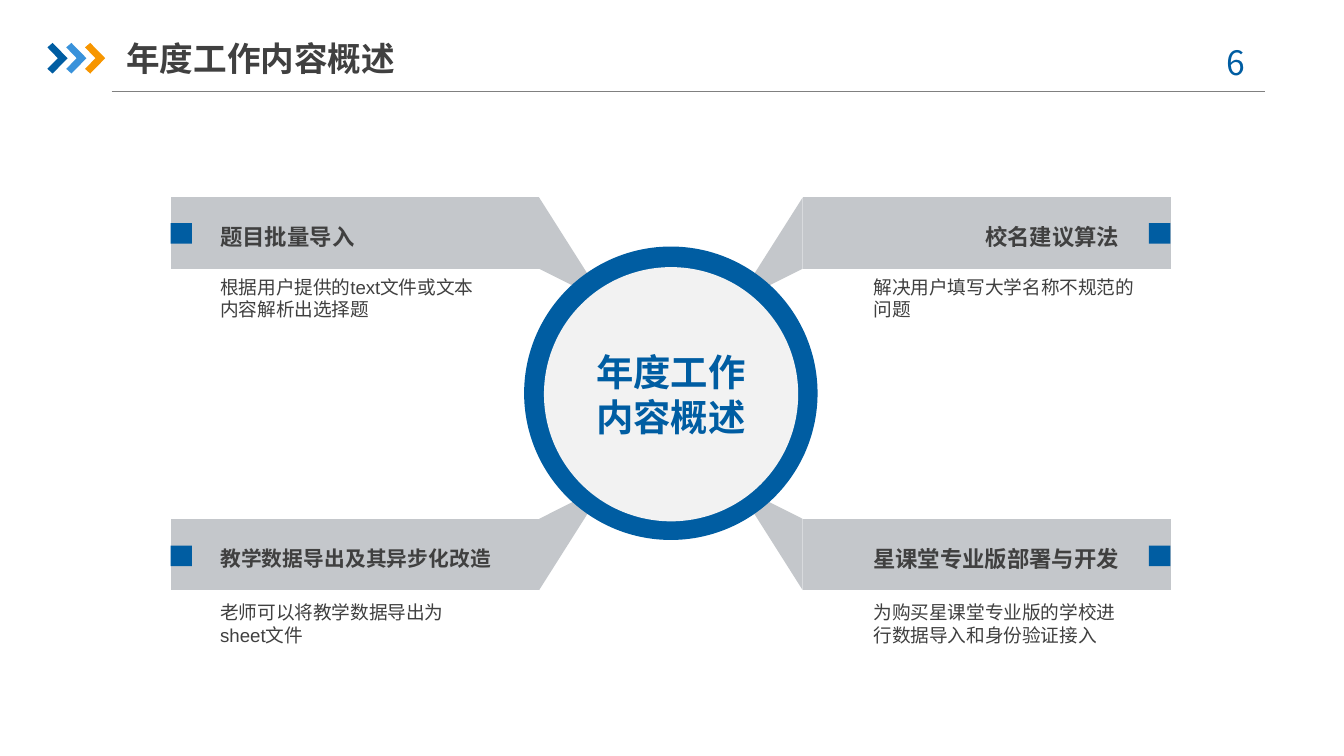
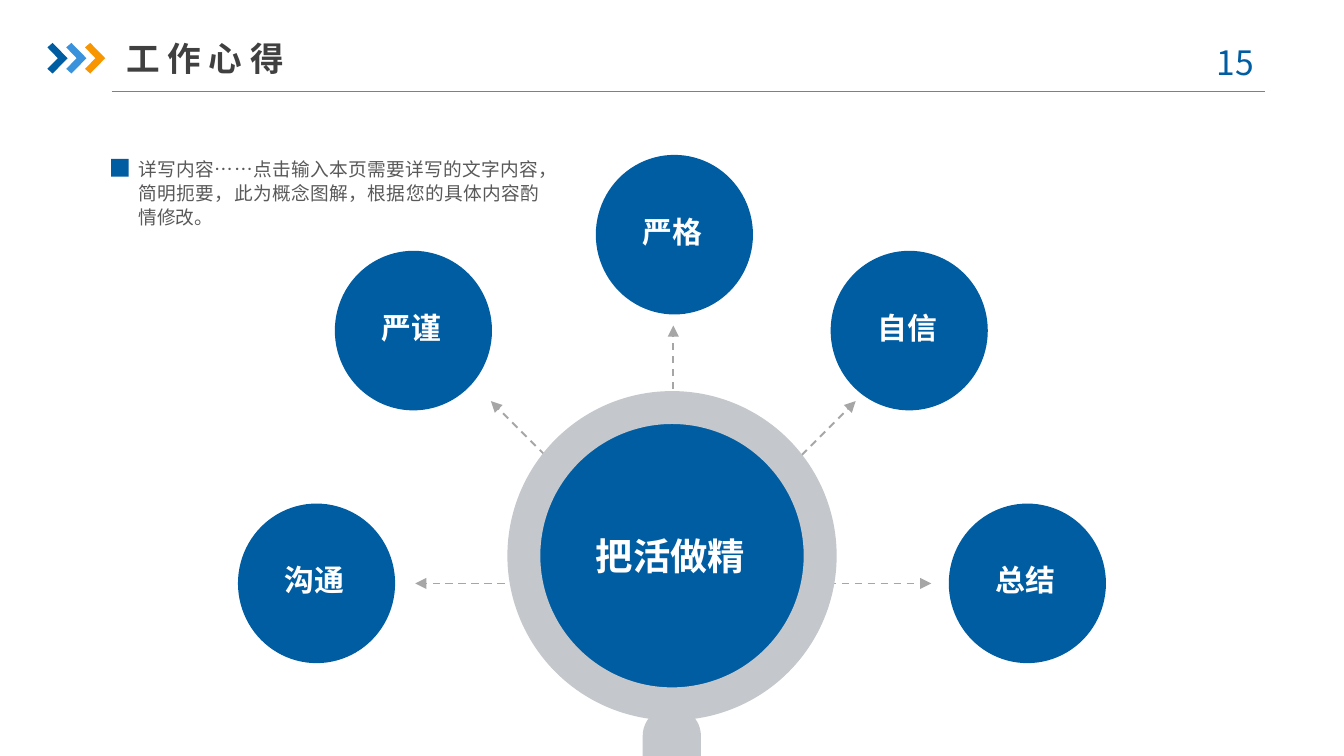
import math

from lxml import etree
from pptx import Presentation
from pptx import util as u
from pptx.dml.color import RGBColor
from pptx.enum import dml, shapes, text
from pptx.oxml import ns

BLUE, SKY, ORANGE = "005DA2", "3992DB", "F79600"
SILVER, PALE, WHITE = "C4C7CB", "F2F2F2", "FFFFFF"
INK, BODY, RULE, ARROW = "404040", "595959", "808080", "A6A6A6"
LATIN, EAST_ASIAN = "Arial", "Noto Sans CJK SC"
KIND = shapes.MSO_SHAPE
ALIGN = text.PP_ALIGN
ANCHOR = text.MSO_ANCHOR


def color(value):
    return RGBColor.from_string(value)


def points(*values):
    return [u.Pt(value) for value in values]


class Pages:
    def __init__(self):
        self.deck = Presentation()
        self.deck.slide_width, self.deck.slide_height = points(720, 405)
        self.page = None

    def start(self, title, number):
        self.page = self.deck.slides.add_slide(self.deck.slide_layouts[5])
        self.line((59.8, 49), (677.5, 49), RULE, 0.75)
        for index, fill in enumerate((BLUE, SKY, ORANGE)):
            x, y = 25.4 + 10.08 * index, 23
            chevron = ((0, 2.4), (2.8, 0), (10.8, 8.2), (2.8, 16.4), (0, 13.9), (5.6, 8.2))
            self.outline([(x + dx, y + dy) for dx, dy in chevron], fill)
        self.label(str(number), (635.5, 18.7, 52.6, 28.8), 18, BLUE,
                   align=ALIGN.CENTER, font=EAST_ASIAN)
        heading = self.page.shapes.title
        heading.left, heading.top, heading.width, heading.height = points(67.7, 15.8, 168, 30.2)
        self.fill_text(heading, title, 18, INK, bold=True, anchor=ANCHOR.MIDDLE, inset=(0, 3.6))

    def fill_text(self, shape, words, size, ink, bold=False, align=ALIGN.LEFT,
                  anchor=ANCHOR.TOP, inset=(7.2, 3.6), font=LATIN, spacing=None):
        frame = shape.text_frame
        frame.text = words
        frame.word_wrap = True
        frame.auto_size = text.MSO_AUTO_SIZE.NONE
        frame.vertical_anchor = anchor
        frame.margin_left = frame.margin_right = u.Pt(inset[0])
        frame.margin_top = frame.margin_bottom = u.Pt(inset[1])
        for para in frame.paragraphs:
            para.alignment = align
            if spacing:
                para.line_spacing = u.Pt(spacing)
            for span in para.runs:
                span.font.size = u.Pt(size)
                span.font.bold = bold
                span.font.name = font
                span.font.color.rgb = color(ink)
                latin = span.font._element.find(ns.qn("a:latin"))
                latin.addnext(etree.Element(ns.qn("a:ea"), typeface=EAST_ASIAN))

    def label(self, words, place, size, ink, **style):
        box = self.page.shapes.add_textbox(*points(*place))
        self.fill_text(box, words, size, ink, **style)

    def paint(self, shape, fill):
        shape.shadow.inherit = False
        shape.fill.solid()
        shape.fill.fore_color.rgb = color(fill)
        shape.line.fill.background()
        return shape

    def shape(self, kind, place, fill):
        return self.paint(self.page.shapes.add_shape(kind, *points(*place)), fill)

    def outline(self, corners, fill):
        start, *others = [points(*corner) for corner in corners]
        builder = self.page.shapes.build_freeform(*start)
        builder.add_line_segments(others, close=True)
        return self.paint(builder.convert_to_shape(), fill)

    def line(self, begin, end, ink, width, arrow=False):
        connector = self.page.shapes.add_connector(
            shapes.MSO_CONNECTOR.STRAIGHT, *points(*begin, *end))
        connector.line.color.rgb = color(ink)
        connector.line.width = u.Pt(width)
        properties = connector._element.spPr
        if arrow:
            connector.line.dash_style = dml.MSO_LINE.DASH
            etree.SubElement(properties.find(ns.qn("a:ln")), ns.qn("a:tailEnd"), type="triangle")
        etree.SubElement(properties, ns.qn("a:effectLst"))


def build_overview(pages):
    pages.start("年度工作内容概述", 6)
    middle_x, middle_y = 359.4, 211
    banner = ((268, 105.2), (268, 67), (70.6, 67), (70.6, 105.2))
    fold = ((70.6, 105.2), (40.3, 57.4), (44.7, 54), (70.6, 67))
    for side_y in (-1, 1):
        for side_x in (-1, 1):
            for corners in (banner, fold):
                pages.outline([(middle_x + side_x * dx, middle_y + side_y * dy)
                               for dx, dy in corners], SILVER)
    topics = (
        (91.4, 119.6, 118, "题目批量导入", 12, ALIGN.LEFT,
         154.8, 139.7, "根据用户提供的text文件或文本内容解析出选择题"),
        (91.4, 292.4, 118, "教学数据导出及其异步化改造", 11.1, ALIGN.LEFT,
         329, 139.7, "老师可以将教学数据导出为sheet文件"),
        (615.5, 119.6, 445.7, "校名建议算法", 12, ALIGN.RIGHT,
         154.8, 147.6, "解决用户填写大学名称不规范的问题"),
        (615.5, 292.4, 445.7, "星课堂专业版部署与开发", 12, ALIGN.RIGHT,
         329, 132.5, "为购买星课堂专业版的学校进行数据导入和身份验证接入"),
    )
    for marker_x, marker_y, left, headline, size, align, top, width, detail in topics:
        pages.shape(KIND.RECTANGLE, (marker_x, marker_y, 11.5, 11), BLUE)
        pages.label(headline, (left, marker_y - 3.8, 154, 22.3), size, INK,
                    bold=True, align=align, inset=(0, 3.6))
        detail_left = 118 if align == ALIGN.LEFT else 468
        pages.label(detail, (detail_left, top, width, 10), 10, INK,
                    anchor=ANCHOR.MIDDLE, inset=(0, 3.6))
    pages.shape(KIND.OVAL, (280.8, 132.1, 157.2, 157.2), BLUE)
    hub = pages.shape(KIND.OVAL, (291.4, 143.1, 136.2, 136.2), PALE)
    pages.fill_text(hub, "年度工作\n内容概述", 20, BLUE, bold=True,
                    align=ALIGN.CENTER, anchor=ANCHOR.MIDDLE)


def build_lessons(pages):
    pages.start("工 作 心 得", 15)
    center_x, center_y, reach = 360.7, 312.6, 138.2
    for angle in (180, 0, 90, 135, 45):
        turn = math.radians(angle)
        tip = (center_x + reach * math.cos(turn), center_y - reach * math.sin(turn))
        pages.line((center_x, center_y), tip, ARROW, 1, arrow=True)
    pages.shape(KIND.OVAL, (288.6, 226.4, 142.6, 142.6), BLUE)
    ring = pages.shape(KIND.DONUT, (271.8, 209.5, 176.4, 176.4), SILVER)
    ring.adjustments[0] = 0.1
    handle = pages.shape(KIND.ROUNDED_RECTANGLE, (344.3, 378.7, 31.2, 63.4), SILVER)
    handle.adjustments[0] = 0.5
    pages.label("把活做精", (301.7, 282.2, 115.2, 31.7), 20, WHITE,
                bold=True, align=ALIGN.CENTER)
    virtues = (("沟通", 127.5, 269.8), ("严谨", 179.4, 134.4), ("严格", 319.2, 83),
               ("自信", 445, 134.4), ("总结", 508.3, 269.8))
    for virtue, left, top in virtues:
        pages.shape(KIND.OVAL, (left, top, 84.2, 85.5), BLUE)
        pages.label(virtue, (left + 6, top + 27, 70, 28), 16, WHITE,
                    bold=True, align=ALIGN.CENTER, inset=(8.6, 4.3))
    pages.label("详写内容……点击输入本页需要详写的文字内容，简明扼要，此为概念图解，根据您的具体内容酌情修改。",
                (74.2, 83.5, 214.6, 39.6), 10, BODY, align=ALIGN.JUSTIFY,
                inset=(0, 0), spacing=13)
    pages.shape(KIND.RECTANGLE, (59.6, 85.2, 9.4, 9.4), BLUE)


def main():
    pages = Pages()
    build_overview(pages)
    build_lessons(pages)
    pages.deck.save("out.pptx")


if __name__ == "__main__":
    main()
